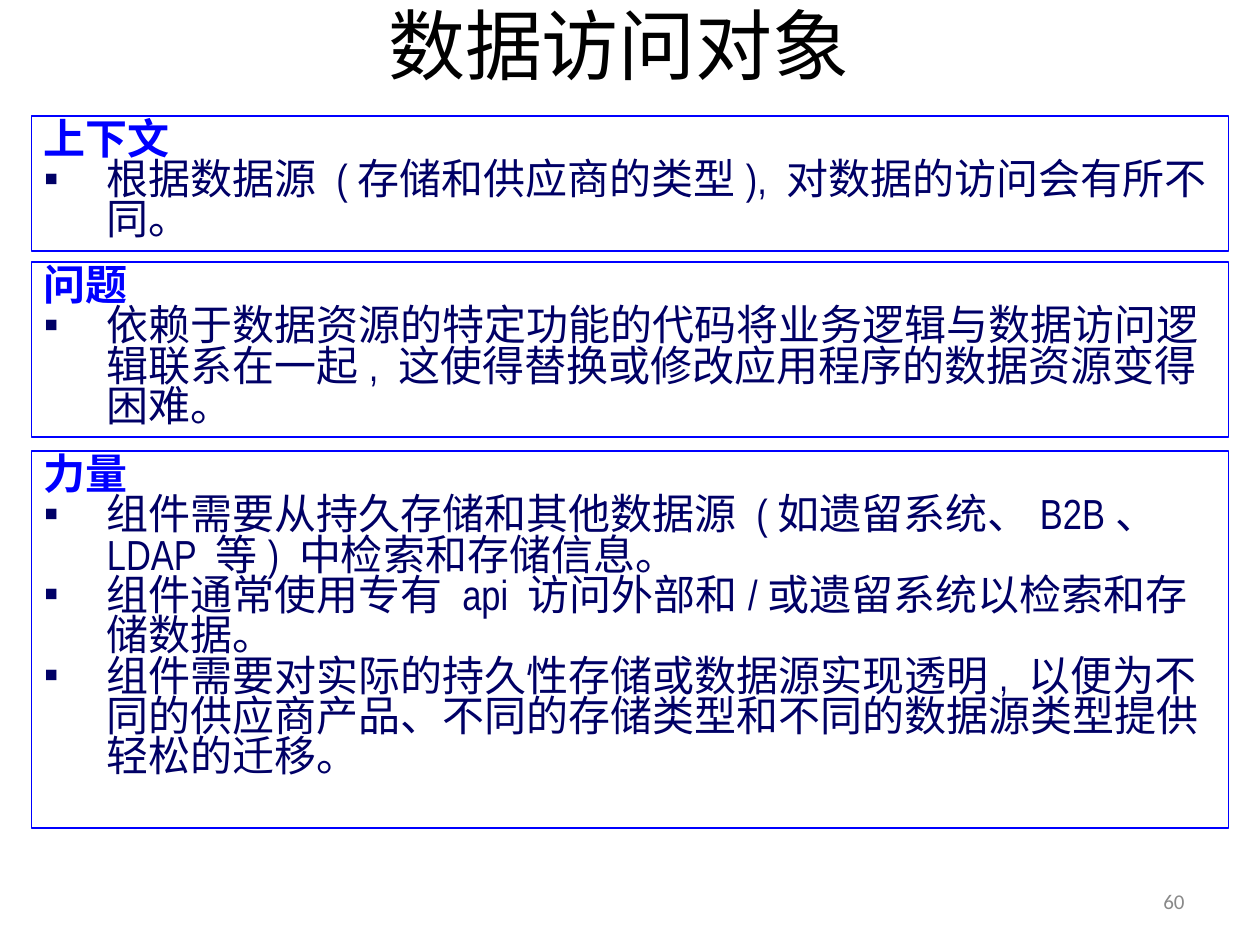
from lxml.etree import SubElement
from pptx import Presentation
from pptx.dml.color import RGBColor
from pptx.enum.shapes import MSO_SHAPE
from pptx.enum.text import MSO_ANCHOR, PP_ALIGN
from pptx.oxml.ns import qn
from pptx.util import Inches, Pt

COLORS = {"title": "000000", "heading": "0000FF", "body": "000066", "number": "898989"}
MARGIN = 0.25
INDENT = Inches(0.5)

SECTIONS = [
    (0.92, 1.07, "上下文", ["根据数据源 (存储和供应商的类型), 对数据的访问会有所不同。"]),
    (2.08, 1.39, "问题", [
        "依赖于数据资源的特定功能的代码将业务逻辑与数据访问逻辑联系在一起, "
        "这使得替换或修改应用程序的数据资源变得困难。",
    ]),
    (3.58, 2.99, "力量", [
        "组件需要从持久存储和其他数据源 (如遗留系统、B2B、LDAP 等) 中检索和存储信息。",
        "组件通常使用专有 api 访问外部和/或遗留系统以检索和存储数据。",
        "组件需要对实际的持久性存储或数据源实现透明, "
        "以便为不同的供应商产品、不同的存储类型和不同的数据源类型提供轻松的迁移。",
    ]),
]


def write(paragraph, text, size=24, font="Arial Narrow", color="body", bold=False,
          align=PP_ALIGN.LEFT):
    """Put one formatted run into a paragraph."""
    paragraph.alignment = align
    run = paragraph.add_run()
    run.text = text
    run.font.size = Pt(size)
    run.font.name = font
    run.font.bold = bold
    run.font.color.rgb = RGBColor.from_string(COLORS[color])


def hang(paragraph, bullet=None):
    """Set tight lines and a hanging indent, with a bullet if one is given."""
    paragraph.line_spacing = 0.8
    properties = paragraph._p.get_or_add_pPr()
    properties.set("marL", str(INDENT))
    properties.set("indent", str(-INDENT))
    if bullet:
        SubElement(properties, qn("a:buFont")).set("typeface", "Arial")
        SubElement(properties, qn("a:buChar")).set("char", bullet)
    else:
        SubElement(properties, qn("a:buNone"))


presentation = Presentation()
presentation.slide_width = Inches(10)
presentation.slide_height = Inches(7.5)
slide = presentation.slides.add_slide(presentation.slide_layouts[6])

labels = [
    ((0.08, 0.06, 9.67, 0.58), "数据访问对象", 44, "title", PP_ALIGN.CENTER),
    ((7.17, 6.95, 2.33, 0.4), "60", 12, "number", PP_ALIGN.RIGHT),
]
for position, text, size, color, align in labels:
    text_box = slide.shapes.add_textbox(*map(Inches, position))
    frame = text_box.text_frame
    frame.word_wrap = True
    frame.vertical_anchor = MSO_ANCHOR.MIDDLE
    write(frame.paragraphs[0], text, size=size, font="Calibri", color=color, align=align)

for top, height, heading, points in SECTIONS:
    box = slide.shapes.add_shape(
        MSO_SHAPE.RECTANGLE, Inches(MARGIN), Inches(top),
        presentation.slide_width - 2 * Inches(MARGIN), Inches(height))
    box.shadow.inherit = False
    box.fill.background()
    box.line.color.rgb = RGBColor.from_string(COLORS["heading"])
    box.line.width = Pt(1)
    frame = box.text_frame
    frame.word_wrap = True
    frame.vertical_anchor = MSO_ANCHOR.TOP
    hang(frame.paragraphs[0])
    write(frame.paragraphs[0], heading, color="heading", bold=True)
    for point in points:
        paragraph = frame.add_paragraph()
        hang(paragraph, bullet="▪")
        write(paragraph, point)

presentation.save("out.pptx")
